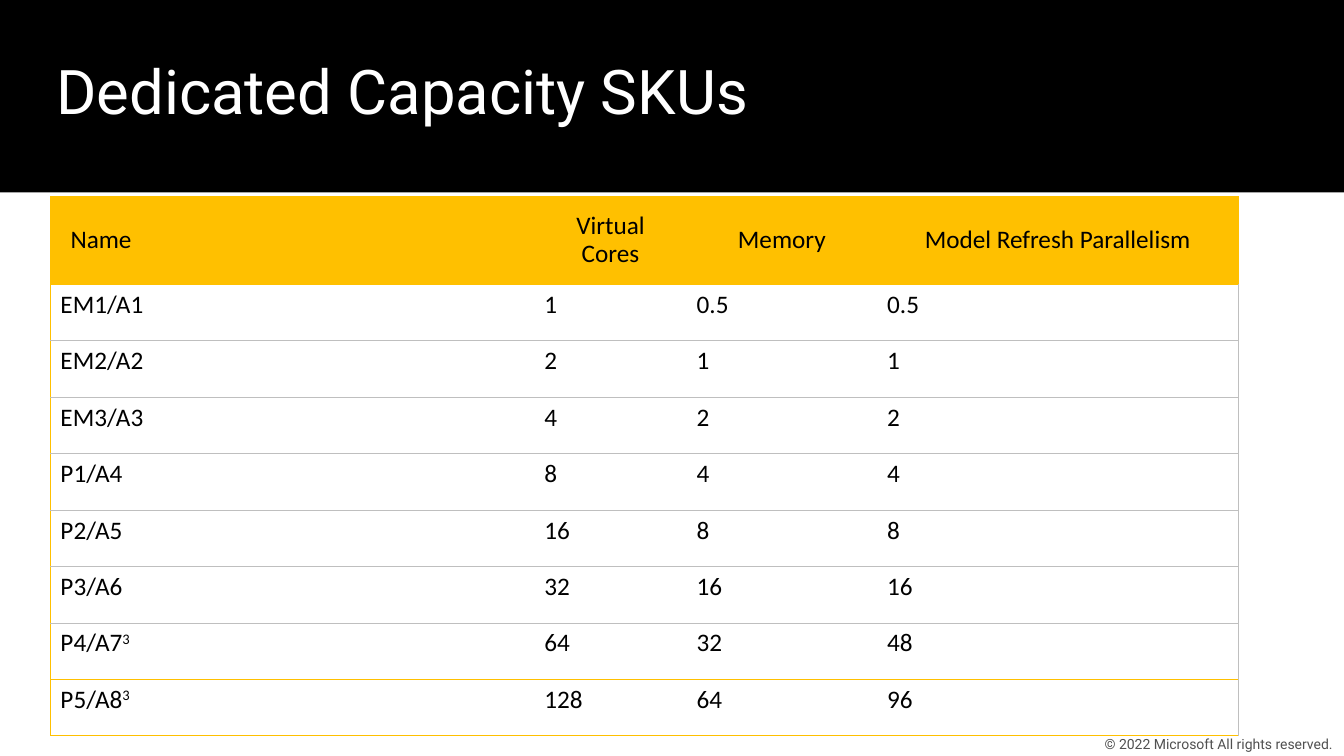
from lxml.etree import SubElement
from pptx import Presentation
from pptx.dml.color import RGBColor
from pptx.enum.shapes import MSO_SHAPE
from pptx.enum.text import MSO_ANCHOR, PP_ALIGN
from pptx.oxml.ns import qn
from pptx.util import Inches, Pt

TITLE = "Dedicated Capacity SKUs"
COPYRIGHT = "© 2022 Microsoft All rights reserved."
HEADERS = ["Name", "Virtual Cores", "Memory", "Model Refresh Parallelism"]
CAPACITIES = [
    ("EM1/A1", "", "1", "0.5", "0.5"),
    ("EM2/A2", "", "2", "1", "1"),
    ("EM3/A3", "", "4", "2", "2"),
    ("P1/A4", "", "8", "4", "4"),
    ("P2/A5", "", "16", "8", "8"),
    ("P3/A6", "", "32", "16", "16"),
    ("P4/A7", "3", "64", "32", "48"),
    ("P5/A8", "3", "128", "64", "96"),
]
COLUMN_WIDTHS = [4.8, 1.51, 1.89, 3.58]
HEADER_HEIGHT, ROW_HEIGHT = 0.86, 0.56

BLACK = RGBColor(0x00, 0x00, 0x00)
WHITE = RGBColor(0xFF, 0xFF, 0xFF)
GOLD = RGBColor(0xFF, 0xC0, 0x00)
SILVER = RGBColor(0xBF, 0xBF, 0xBF)
GREY = RGBColor(0x50, 0x50, 0x50)


def add_run(paragraph, text, font_name, size, color):
    """Append one formatted run and return it."""
    run = paragraph.add_run()
    run.text = text
    run.font.name = font_name
    run.font.size = Pt(size)
    run.font.bold = False
    run.font.color.rgb = color
    return run


def set_insets(frame, left, top, right, bottom):
    """Set the four inner margins of a text frame or cell in inches."""
    frame.margin_left, frame.margin_top = Inches(left), Inches(top)
    frame.margin_right, frame.margin_bottom = Inches(right), Inches(bottom)


def set_borders(cell, **colors):
    """Draw the given cell sides and clear the others."""
    properties = cell._tc.get_or_add_tcPr()
    for side in "LRTB":
        line = SubElement(properties, qn(f"a:ln{side}"), w=str(Pt(0.5)))
        if side in colors:
            fill = SubElement(line, qn("a:solidFill"))
            SubElement(fill, qn("a:srgbClr"), val=str(colors[side]))
        else:
            SubElement(line, qn("a:noFill"))


def add_title(slide):
    """Place the title on a black band."""
    band = slide.shapes.add_shape(MSO_SHAPE.RECTANGLE, 0, 0, Inches(13.33), Inches(1.91))
    band.shadow.inherit = False
    band.fill.solid()
    band.fill.fore_color.rgb = BLACK
    band.line.fill.background()
    title = slide.shapes.title
    band.element.addnext(title.element)
    title.left, title.top = Inches(0.5), Inches(0.42)
    title.width, title.height = Inches(12.29), Inches(0.76)
    frame = title.text_frame
    frame.vertical_anchor = MSO_ANCHOR.TOP
    set_insets(frame, 0.06, 0.1, 0.06, 0)
    paragraph = frame.paragraphs[0]
    paragraph.alignment = PP_ALIGN.LEFT
    add_run(paragraph, TITLE, "Roboto", 44, WHITE)


def add_capacity_table(slide):
    """Add the table with a gold header row."""
    last = len(CAPACITIES)
    height = HEADER_HEIGHT + last * ROW_HEIGHT
    table = slide.shapes.add_table(
        last + 1, len(HEADERS), Inches(0.5), Inches(1.95),
        Inches(sum(COLUMN_WIDTHS)), Inches(height)).table
    table.horz_banding = False
    for column, width in zip(table.columns, COLUMN_WIDTHS):
        column.width = Inches(width)
    for row in table.rows:
        row.height = Inches(ROW_HEIGHT)
    table.rows[0].height = Inches(HEADER_HEIGHT)

    for index, header in enumerate(HEADERS):
        cell = table.cell(0, index)
        set_borders(cell, L=GOLD, R=GOLD, T=GOLD, B=GOLD)
        cell.fill.solid()
        cell.fill.fore_color.rgb = GOLD
        cell.vertical_anchor = MSO_ANCHOR.MIDDLE
        set_insets(cell, 0.2, 0.16, 0.2, 0.16)
        paragraph = cell.text_frame.paragraphs[0]
        paragraph.alignment = PP_ALIGN.CENTER if index else PP_ALIGN.LEFT
        paragraph.line_spacing = 0.9
        add_run(paragraph, header, "Calibri", 18, BLACK)

    for number, (name, note, *values) in enumerate(CAPACITIES, start=1):
        top = GOLD if number in (1, last) else SILVER
        bottom = GOLD if number >= last - 1 else SILVER
        for index, text in enumerate([name, *values]):
            cell = table.cell(number, index)
            sides = {"T": top, "B": bottom}
            if index == 0:
                sides["L"] = GOLD
            if index == len(values):
                sides["R"] = SILVER
            set_borders(cell, **sides)
            cell.fill.background()
            paragraph = cell.text_frame.paragraphs[0]
            add_run(paragraph, text, "Calibri", 18, BLACK)
            if note and index == 0:
                superscript = add_run(paragraph, note, "Calibri", 18, BLACK)
                superscript.font._element.set("baseline", "30000")


def add_copyright(slide):
    """Add the copyright line at the lower right."""
    box = slide.shapes.add_textbox(Inches(10.58), Inches(7.26), Inches(3.11), Inches(0.24))
    frame = box.text_frame
    frame.word_wrap = True
    frame.vertical_anchor = MSO_ANCHOR.MIDDLE
    set_insets(frame, 0, 0, 0.1, 0)
    paragraph = frame.paragraphs[0]
    paragraph.alignment = PP_ALIGN.CENTER
    add_run(paragraph, COPYRIGHT, "Roboto", 10, GREY)


def main():
    """Build and save the slide."""
    presentation = Presentation()
    presentation.slide_width, presentation.slide_height = Inches(13.33), Inches(7.5)
    slide = presentation.slides.add_slide(presentation.slide_layouts[5])
    add_title(slide)
    add_capacity_table(slide)
    add_copyright(slide)
    presentation.save("out.pptx")


if __name__ == "__main__":
    main()
